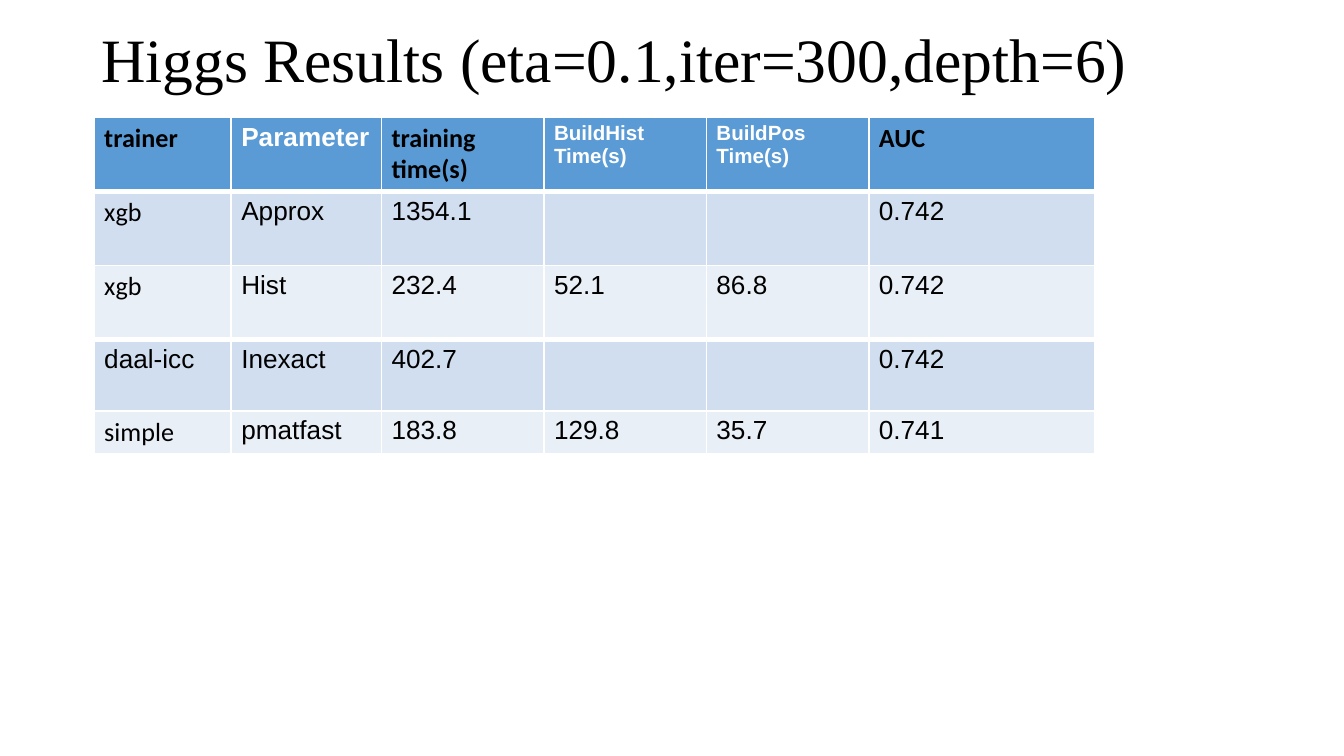
"""Build a slide with a table of Higgs training results."""
from lxml import etree
from pptx import Presentation
from pptx.dml.color import RGBColor
from pptx.enum.text import MSO_ANCHOR, MSO_AUTO_SIZE, PP_ALIGN
from pptx.oxml.ns import qn
from pptx.util import Cm, Pt

MIDDLE, LEFT, NONE = MSO_ANCHOR.MIDDLE, PP_ALIGN.LEFT, MSO_AUTO_SIZE.NONE

TITLE = "Higgs Results (eta=0.1,iter=300,depth=6)"
HEAD = ["trainer", "Parameter", "training time(s)",
        "BuildHist\nTime(s)", "BuildPos\nTime(s)", "AUC"]
BODY = [
    ["xgb", "Approx", "1354.1", "", "", "0.742"],
    ["xgb", "Hist", "232.4", "52.1", "86.8", "0.742"],
    ["daal-icc", "Inexact", "402.7", "", "", "0.742"],
    ["simple", "pmatfast", "183.8", "129.8", "35.7", "0.741"],
]
WIDTHS = [2.59, 2.84, 3.07, 3.07, 3.07, 4.27]
HEIGHTS = [1.37, 1.4, 1.4, 1.35, 0.79]
THICK = {0, 2}
COLORS = {"head": "5B9BD5", "odd": "D0DEEF", "even": "E9EFF7",
          "white": "FFFFFF", "black": "000000"}


def color(key):
    """Return the named colour."""
    return RGBColor.from_string(COLORS[key])


def style(para, face, size, ink="black", bold=False):
    """Set the font of a paragraph."""
    font = para.font
    font.name, font.size, font.bold = face, Pt(size), bold
    font.color.rgb = color(ink)


def border(cell, row):
    """Draw white cell borders, thick below the rows in THICK."""
    props = cell._tc.get_or_add_tcPr()
    wide = {"T": row - 1 in THICK, "B": row in THICK}
    for side in "LRTB":
        line = etree.SubElement(props, qn(f"a:ln{side}"),
                                w=str(Pt(3 if wide.get(side) else 1)))
        fill = etree.SubElement(line, qn("a:solidFill"))
        etree.SubElement(fill, qn("a:srgbClr"), val=COLORS["white"])


def look(row, col, text):
    """Return face, size, ink and bold for a cell."""
    if row == 0:
        plain = col in (0, 2, 5)
        return ("Calibri" if plain else "Arial", 11 if "\n" in text else 14,
                "black" if plain else "white", True)
    face = "Calibri" if col == 0 and text != "daal-icc" else "Arial"
    return face, 14, "black", False


def main():
    """Build and save the slide."""
    deck = Presentation()
    deck.slide_width, deck.slide_height = Cm(25.4), Cm(14.28)
    slide = deck.slides.add_slide(deck.slide_layouts[5])

    title = slide.shapes.title
    title.left, title.top = Cm(1.73), Cm(0.33)
    title.width, title.height = Cm(21.9), Cm(1.7)
    frame = title.text_frame
    frame.text = TITLE
    frame.auto_size, frame.vertical_anchor = NONE, MIDDLE
    frame.margin_left = frame.margin_right = Cm(0.18)
    frame.margin_top = frame.margin_bottom = Cm(0.1)
    para = frame.paragraphs[0]
    para.alignment, para.line_spacing = LEFT, 0.9
    style(para, "Times New Roman", 33)

    rows = [HEAD] + BODY
    table = slide.shapes.add_table(
        len(rows), len(HEAD), Cm(1.78), Cm(2.21),
        Cm(sum(WIDTHS)), Cm(sum(HEIGHTS))).table
    for col, width in zip(table.columns, WIDTHS):
        col.width = Cm(width)
    for r, texts in enumerate(rows):
        table.rows[r].height = Cm(HEIGHTS[r])
        shade = "head" if r == 0 else "odd" if r % 2 else "even"
        for c, text in enumerate(texts):
            cell = table.cell(r, c)
            cell.text = text
            cell.margin_left = cell.margin_right = Cm(0.19)
            cell.margin_top = cell.margin_bottom = Cm(0.1)
            border(cell, r)
            cell.fill.solid()
            cell.fill.fore_color.rgb = color(shade)
            for para in cell.text_frame.paragraphs:
                style(para, *look(r, c, text))
    deck.save("out.pptx")


if __name__ == "__main__":
    main()
